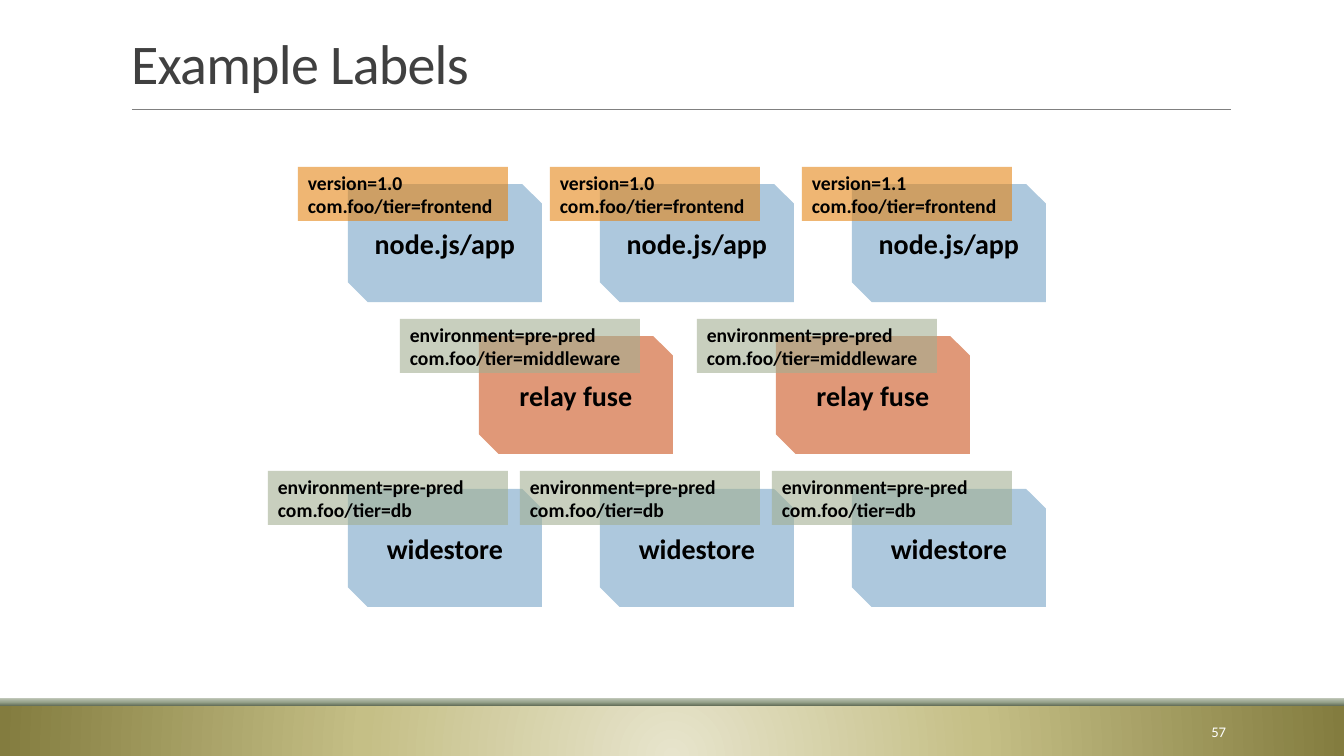
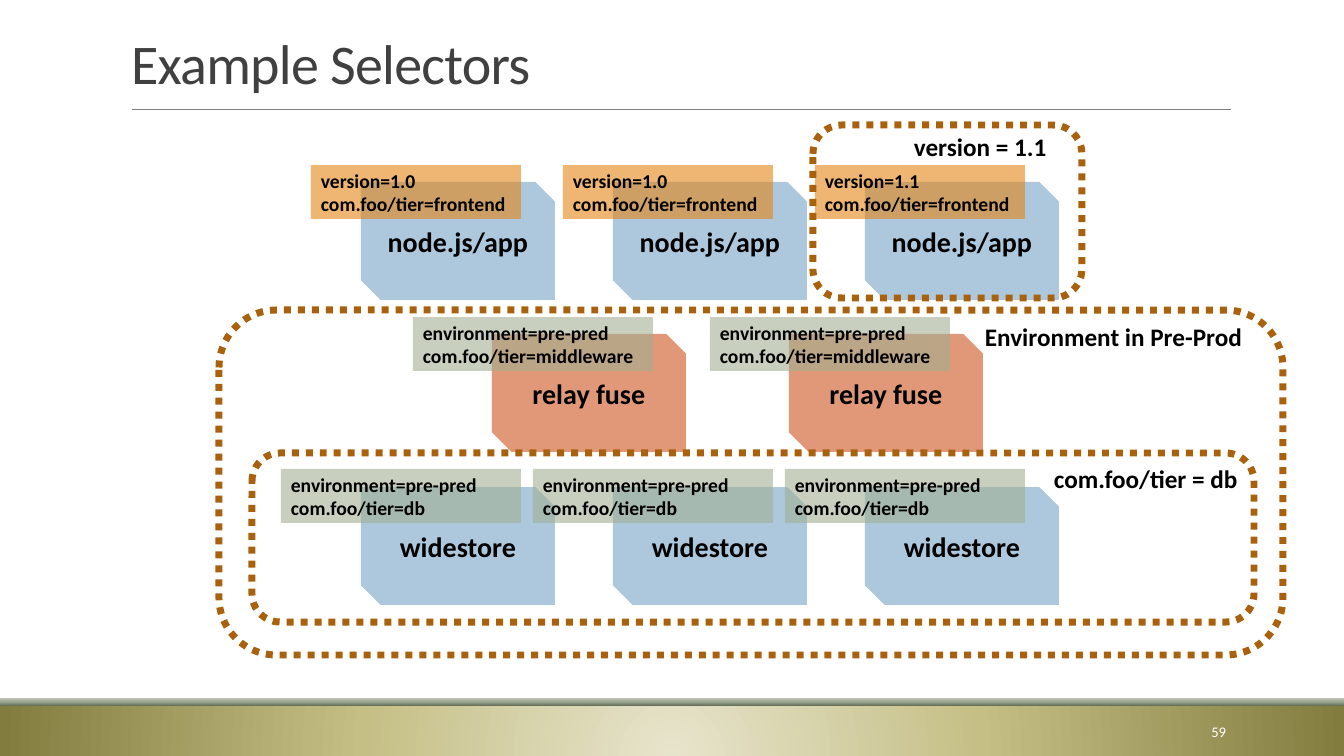
from dataclasses import dataclass

from pptx import Presentation
from pptx.dml.color import RGBColor
from pptx.enum.dml import MSO_LINE
from pptx.enum.shapes import MSO_CONNECTOR, MSO_SHAPE
from pptx.enum.text import MSO_ANCHOR, MSO_AUTO_SIZE, PP_ALIGN
from pptx.oxml import parse_xml
from pptx.oxml.ns import nsdecls, qn
from pptx.util import Emu, Pt

RECTANGLE = MSO_SHAPE.RECTANGLE
ROUNDED = MSO_SHAPE.ROUNDED_RECTANGLE
SNIPPED = MSO_SHAPE.SNIP_2_DIAG_RECTANGLE
LEFT, CENTER, RIGHT = PP_ALIGN.LEFT, PP_ALIGN.CENTER, PP_ALIGN.RIGHT
MIDDLE, BOTTOM, TOP = MSO_ANCHOR.MIDDLE, MSO_ANCHOR.BOTTOM, MSO_ANCHOR.TOP


@dataclass(frozen=True)
class Theme:
    font: str = "Calibri"
    title: str = "404040"
    text: str = "000000"
    page: str = "FFFFFF"
    rule: str = "808080"
    blue: str = "ADC8DD"
    coral: str = "E09878"
    orange: str = "E48312"
    sage: str = "A2AF92"
    frame: str = "A9610D"
    band: tuple = ((0, "E7E4CC"), (46, "C5BF86"), (100, "837C3F"))
    strip: tuple = ((0, "636E58"), (48, "97A38C"), (100, "BFC6B8"))
    title_size: float = 40
    pod_size: float = 20
    caption_size: float = 18
    label_size: float = 14
    number_size: float = 10.5
    label_opacity: int = 59


THEME = Theme()

# Content; lengths in px
WIDTH, HEIGHT = 1344, 756
TITLE_BOX = (121, 31, 1109, 70)
NUMBER_BOX = (1092, 712, 144, 40)
BAND_BOX = (0, 706, WIDTH, 50)
STRIP_BOX = (0, 698, WIDTH, 8)
RULE = (132, 109, 1231, 109)
POD_SIZE = (194, 118)
LABEL_HEIGHT = 54

POD_ROWS = [
    dict(name="node.js/app", left=348, top=184, step=252, color=THEME.blue,
         label_color=THEME.orange, label_shift=(-50, -17), label_width=210,
         labels=[("version=1.0", "com.foo/tier=frontend"),
                 ("version=1.0", "com.foo/tier=frontend"),
                 ("version=1.1", "com.foo/tier=frontend")]),
    dict(name="relay fuse", left=479, top=336, step=297, color=THEME.coral,
         label_color=THEME.sage, label_shift=(-79, -17), label_width=240,
         labels=[("environment=pre-pred", "com.foo/tier=middleware")] * 2),
    dict(name="widestore", left=348, top=489, step=252, color=THEME.blue,
         label_color=THEME.sage, label_shift=(-80, -18), label_width=240,
         labels=[("environment=pre-pred", "com.foo/tier=db")] * 3),
]

SELECTORS = [  # caption, caption box, frame box
    ("version = 1.1", (904, 126, 154, 40), (813, 125, 269, 173)),
    ("Environment in Pre-Prod", (975, 316, 279, 40), (219, 310, 1064, 345)),
    ("com.foo/tier = db", (1044, 458, 206, 40), (252, 453, 1002, 169)),
]

SLIDES = [
    dict(title="Example Labels", number="57", shift=(0, 0), selectors=[]),
    dict(title="Example Selectors", number="59", shift=(13, -2), selectors=SELECTORS),
]


# Helpers
def px(*lengths):
    return [Emu(round(length * 914400 / 100.8)) for length in lengths]


def rgb(color):
    return RGBColor.from_string(color)


def write(shape, lines, size, color=THEME.text, bold=False, align=LEFT, anchor=MIDDLE):
    frame = shape.text_frame
    frame.text = "\n".join(lines)
    frame.vertical_anchor = anchor
    for paragraph in frame.paragraphs:
        paragraph.alignment = align
        font = paragraph.font
        font.name, font.size, font.bold = THEME.font, Pt(size), bold
        font.color.rgb = rgb(color)
    return frame


def add_block(slide, kind, box, color=None, opacity=100):
    shape = slide.shapes.add_shape(kind, *px(*box))
    shape.shadow.inherit = False
    shape.line.fill.background()
    if color is None:
        shape.fill.background()
        return shape
    shape.fill.solid()
    shape.fill.fore_color.rgb = rgb(color)
    if opacity < 100:
        fill_color = next(shape.element.iter(qn("a:srgbClr")))
        fill_color.append(parse_xml(f'<a:alpha {nsdecls("a")} val="{opacity * 1000}"/>'))
    return shape


def add_gradient_block(slide, box, stops, direction):
    shape = add_block(slide, RECTANGLE, box)
    stop_xml = "".join(f'<a:gs pos="{position * 1000}"><a:srgbClr val="{color}"/></a:gs>'
                       for position, color in stops)
    gradient = parse_xml(f'<a:gradFill {nsdecls("a")} rotWithShape="1">'
                         f'<a:gsLst>{stop_xml}</a:gsLst>{direction}</a:gradFill>')
    properties = shape.element.spPr
    properties.replace(properties.find(qn("a:noFill")), gradient)
    return shape


def add_text(slide, box, line, size, **style):
    shape = slide.shapes.add_textbox(*px(*box))
    return write(shape, [line], size, **style)


# Shared parts
def furnish_layout(layout, slide):
    """Draw the bands and the title rule, then move them to the layout."""
    band = add_gradient_block(
        slide, BAND_BOX, THEME.band,
        '<a:path path="circle"><a:fillToRect l="50000" t="130000" r="50000" b="-30000"/></a:path>')
    strip = add_gradient_block(slide, STRIP_BOX, THEME.strip, '<a:lin ang="16200000" scaled="0"/>')
    rule = slide.shapes.add_connector(MSO_CONNECTOR.STRAIGHT, *px(*RULE))
    rule.line.color.rgb = rgb(THEME.rule)
    rule.line.width = Pt(0.5)
    rule.element.spPr.append(parse_xml(f'<a:effectLst {nsdecls("a")}/>'))
    for index, shape in enumerate((band, strip, rule), start=2):
        layout.shapes.element.insert(index, shape.element)
    title = layout.placeholders[0]
    title.left, title.top, title.width, title.height = px(*TITLE_BOX)


def add_heading(slide, title, number):
    shape = slide.shapes.title
    frame = write(shape, [title], THEME.title_size, THEME.title, anchor=BOTTOM)
    frame.auto_size = MSO_AUTO_SIZE.NONE
    frame.paragraphs[0].line_spacing = 0.85
    next(shape.element.iter(qn("a:defRPr"))).set("spc", "-50")
    add_text(slide, NUMBER_BOX, number, THEME.number_size, color=THEME.page,
             align=RIGHT).word_wrap = True


# Diagram
def add_pods(slide, row, shift):
    top = row["top"] + shift[1]
    label_x, label_y = row["label_shift"]
    for column, label_lines in enumerate(row["labels"]):
        left = row["left"] + column * row["step"] + shift[0]
        pod = add_block(slide, SNIPPED, (left, top, *POD_SIZE), row["color"])
        write(pod, [row["name"]], THEME.pod_size, bold=True, align=CENTER)
        label_box = (left + label_x, top + label_y, row["label_width"], LABEL_HEIGHT)
        label = add_block(slide, RECTANGLE, label_box, row["label_color"], THEME.label_opacity)
        write(label, label_lines, THEME.label_size, bold=True)


def add_selector(slide, caption, caption_box, frame_box):
    frame = add_block(slide, ROUNDED, frame_box)
    frame.line.color.rgb = rgb(THEME.frame)
    frame.line.width = Pt(5)
    frame.line.dash_style = MSO_LINE.ROUND_DOT
    text_frame = add_text(slide, caption_box, caption, THEME.caption_size, bold=True, anchor=TOP)
    text_frame.word_wrap = False
    text_frame.auto_size = MSO_AUTO_SIZE.SHAPE_TO_FIT_TEXT


def main():
    presentation = Presentation()
    presentation.slide_width, presentation.slide_height = px(WIDTH, HEIGHT)
    layout = presentation.slide_layouts.get_by_name("Title Only")
    for index, content in enumerate(SLIDES):
        slide = presentation.slides.add_slide(layout)
        if index == 0:
            furnish_layout(layout, slide)
        add_heading(slide, content["title"], content["number"])
        for row in POD_ROWS:
            add_pods(slide, row, content["shift"])
        for selector in content["selectors"]:
            add_selector(slide, *selector)
    presentation.save("out.pptx")


if __name__ == "__main__":
    main()
